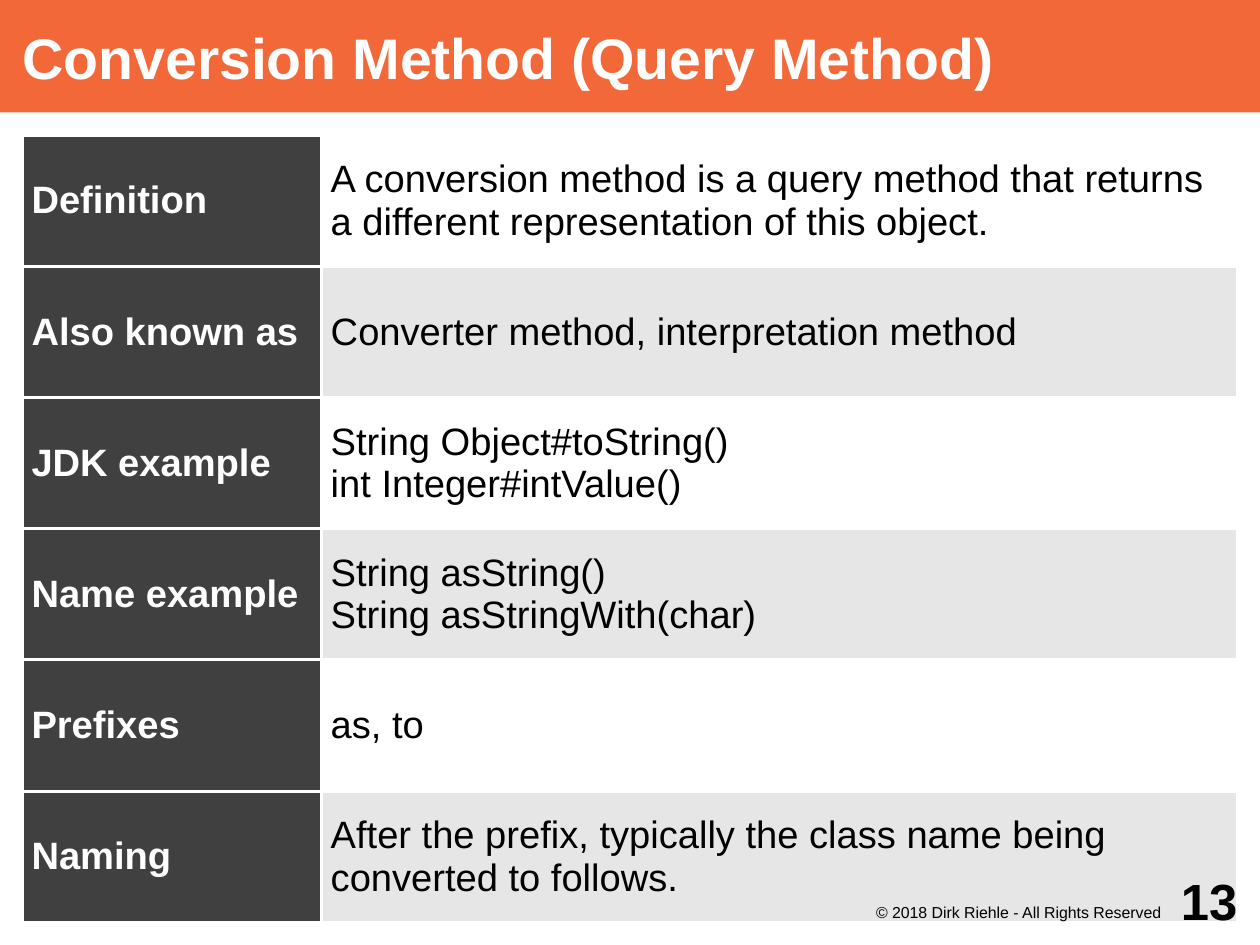
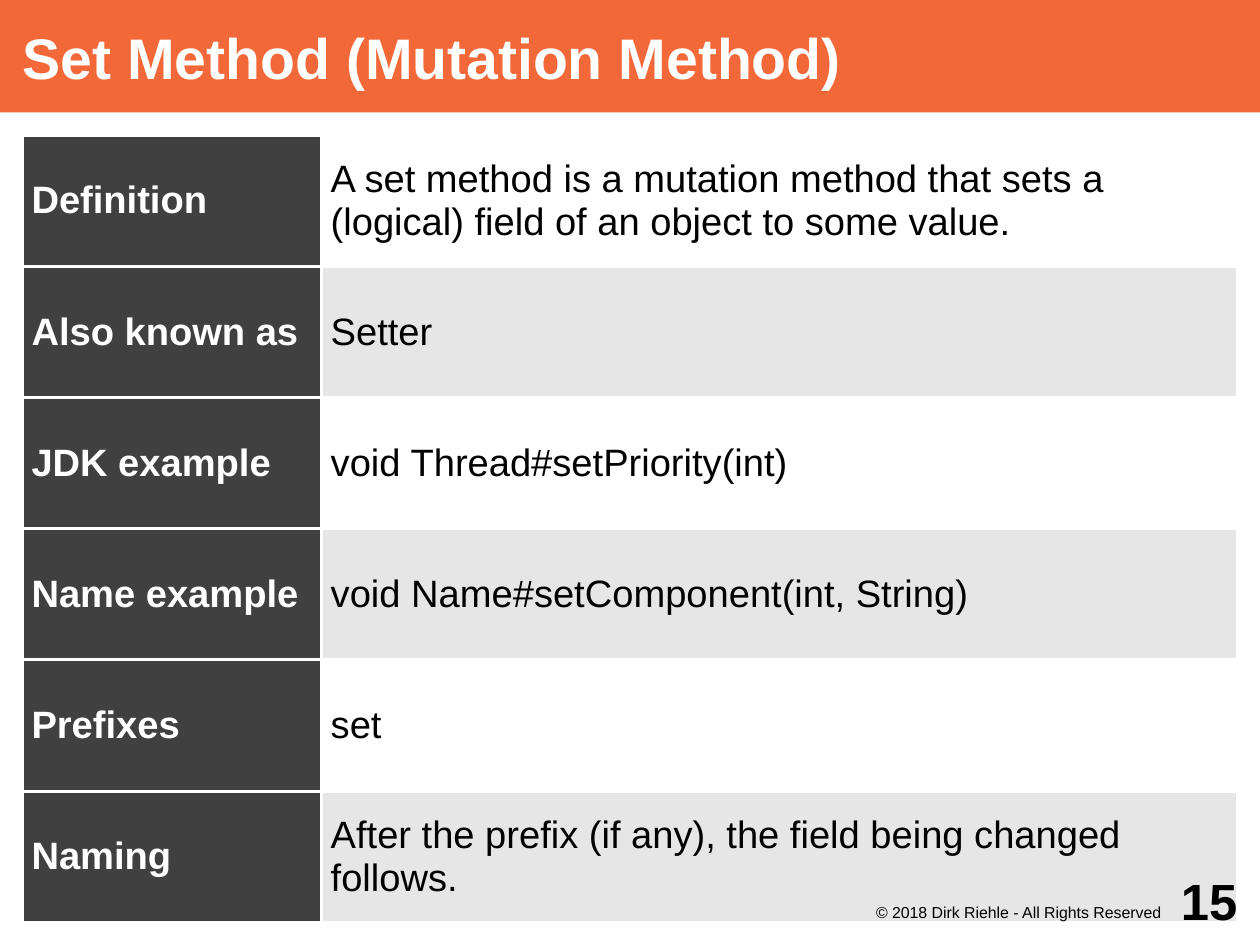
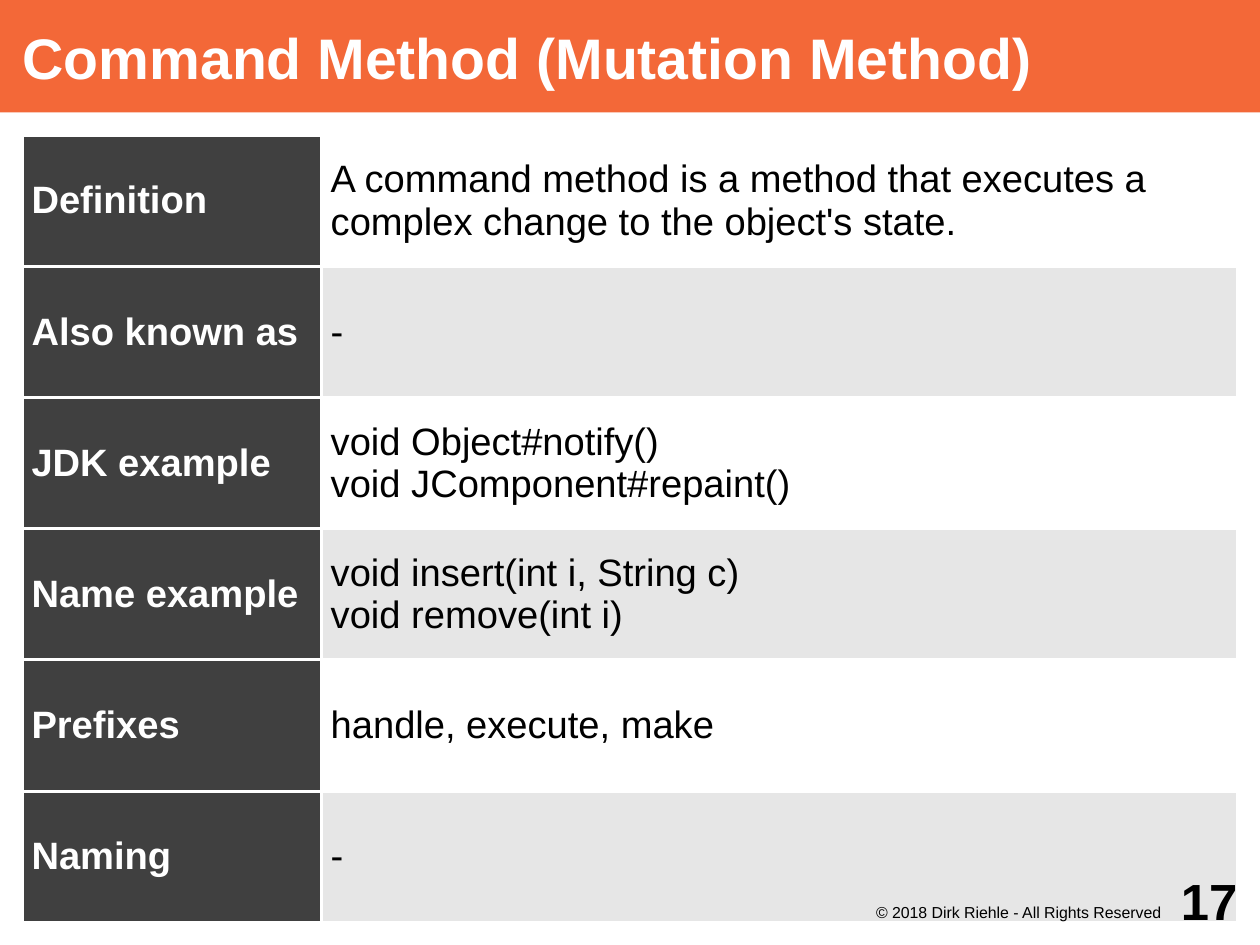
from lxml.etree import SubElement
from pptx import Presentation
from pptx.dml.color import RGBColor
from pptx.enum.text import MSO_ANCHOR, MSO_AUTO_SIZE, PP_ALIGN
from pptx.oxml.ns import qn
from pptx.util import Cm, Pt

COLORS = {
    "band": "F36838",
    "label": "404040",
    "stripe": "E6E6E6",
    "light": "FFFFFF",
    "dark": "000000",
}

# Font formats: size, weight, colour and alignment of each kind of text
FORMATS = {
    "title": {"size": 36, "bold": True, "color": "light", "align": PP_ALIGN.LEFT},
    "label": {"size": 24, "bold": True, "color": "light", "align": PP_ALIGN.LEFT},
    "value": {"size": 24, "bold": False, "color": "dark", "align": PP_ALIGN.LEFT},
    "footer": {"size": 10, "bold": False, "color": "dark", "align": PP_ALIGN.RIGHT},
    "number": {"size": 32, "bold": True, "color": "dark", "align": PP_ALIGN.RIGHT},
}

LABELS = ["Definition", "Also known as", "JDK example",
          "Name example", "Prefixes", "Naming"]
COPYRIGHT = "© 2018 Dirk Riehle - All Rights Reserved"

# Each page: title, page number, one value per label
PAGES = [
    ("Conversion Method (Query Method)", 13, [
        "A conversion method is a query method that returns "
        "a different representation of this object.",
        "Converter method, interpretation method",
        "String Object#toString()\nint Integer#intValue()",
        "String asString()\nString asStringWith(char)",
        "as, to",
        "After the prefix, typically the class name being converted to follows.",
    ]),
    ("Set Method (Mutation Method)", 15, [
        "A set method is a mutation method that sets a "
        "(logical) field of an object to some value.",
        "Setter",
        "void Thread#setPriority(int)",
        "void Name#setComponent(int, String)",
        "set",
        "After the prefix (if any), the field being changed follows.",
    ]),
    ("Command Method (Mutation Method)", 17, [
        "A command method is a method that executes a "
        "complex change to the object's state.",
        "-",
        "void Object#notify()\nvoid JComponent#repaint()",
        "void insert(int i, String c)\nvoid remove(int i)",
        "handle, execute, make",
        "-",
    ]),
]


def rgb(name):
    return RGBColor.from_string(COLORS[name])


class MethodDeck:
    """Holds the deck style and the current page."""

    def __init__(self):
        self.deck = Presentation()
        self.deck.slide_width, self.deck.slide_height = Cm(28), Cm(21)
        self.page = None

    def add_page(self):
        self.page = self.deck.slides.add_slide(self.deck.slide_layouts[5])

    def fill(self, target, color):
        target.fill.solid()
        target.fill.fore_color.rgb = rgb(color)

    def put_text(self, frame, text, style):
        """Set one paragraph per line in the named format."""
        look = FORMATS[style]
        frame.text = text
        values = {"name": "Arial", "size": Pt(look["size"]), "bold": look["bold"]}
        for para in frame.paragraphs:
            para.alignment = look["align"]
            for span in para.runs:
                for key, value in values.items():
                    setattr(span.font, key, value)
                span.font.color.rgb = rgb(look["color"])

    def set_frame(self, frame, anchor, left=0, top=0, right=0):
        values = {
            "word_wrap": True, "auto_size": MSO_AUTO_SIZE.NONE,
            "vertical_anchor": anchor, "margin_left": Cm(left),
            "margin_top": Cm(top), "margin_right": Cm(right), "margin_bottom": 0,
        }
        for key, value in values.items():
            setattr(frame, key, value)

    def title(self, text):
        band = self.page.shapes.title
        place = {"left": 0, "top": 0, "width": Cm(28), "height": Cm(2.5)}
        for key, value in place.items():
            setattr(band, key, value)
        self.fill(band, "band")
        self.set_frame(band.text_frame, MSO_ANCHOR.MIDDLE, left=0.5)
        self.put_text(band.text_frame, text, "title")

    def text_box(self, place, text, style, anchor, **margins):
        box = self.page.shapes.add_textbox(*map(Cm, place))
        self.set_frame(box.text_frame, anchor, **margins)
        self.put_text(box.text_frame, text, style)

    def borders(self, cell):
        properties = cell._tc.get_or_add_tcPr()
        for side in ("lnL", "lnR", "lnT", "lnB"):
            line = SubElement(properties, qn(f"a:{side}"), w=str(Pt(2.27)))
            solid = SubElement(line, qn("a:solidFill"))
            SubElement(solid, qn("a:srgbClr"), val=COLORS["light"])

    def table(self, labels, values):
        table = self.page.shapes.add_table(
            len(labels), 2, Cm(0.5), Cm(3), Cm(27), Cm(17.5)).table
        table.first_row = table.horz_banding = False
        for column, width in zip(table.columns, (6.65, 20.35)):
            column.width = Cm(width)
        for index, (label, value) in enumerate(zip(labels, values)):
            stripe = "stripe" if index % 2 else "light"
            entries = [(label, "label", "label"), (value, "value", stripe)]
            for column, (text, style, color) in enumerate(entries):
                cell = table.cell(index, column)
                cell.vertical_anchor = MSO_ANCHOR.MIDDLE
                cell.margin_left = cell.margin_right = Cm(0.2)
                self.borders(cell)
                self.fill(cell, color)
                self.put_text(cell.text_frame, text, style)

    def footer(self, number):
        self.text_box((18, 20, 8, 1), COPYRIGHT, "footer",
                      MSO_ANCHOR.TOP, top=0.05, right=0.2)
        self.text_box((25.5, 19, 2.5, 2), str(number), "number",
                      MSO_ANCHOR.MIDDLE, right=0.5)


def main():
    builder = MethodDeck()
    for title, number, values in PAGES:
        builder.add_page()
        builder.title(title)
        builder.table(LABELS, values)
        builder.footer(number)
    builder.deck.save("out.pptx")


if __name__ == "__main__":
    main()
